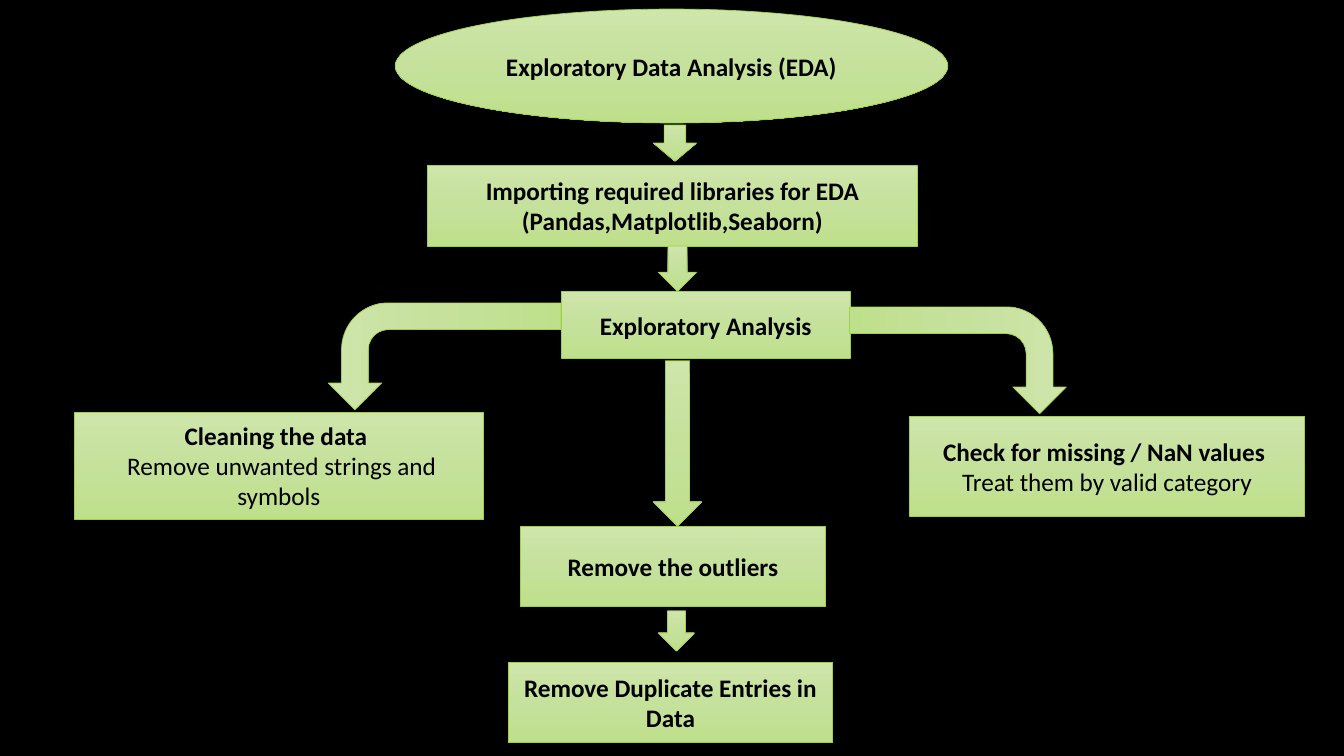
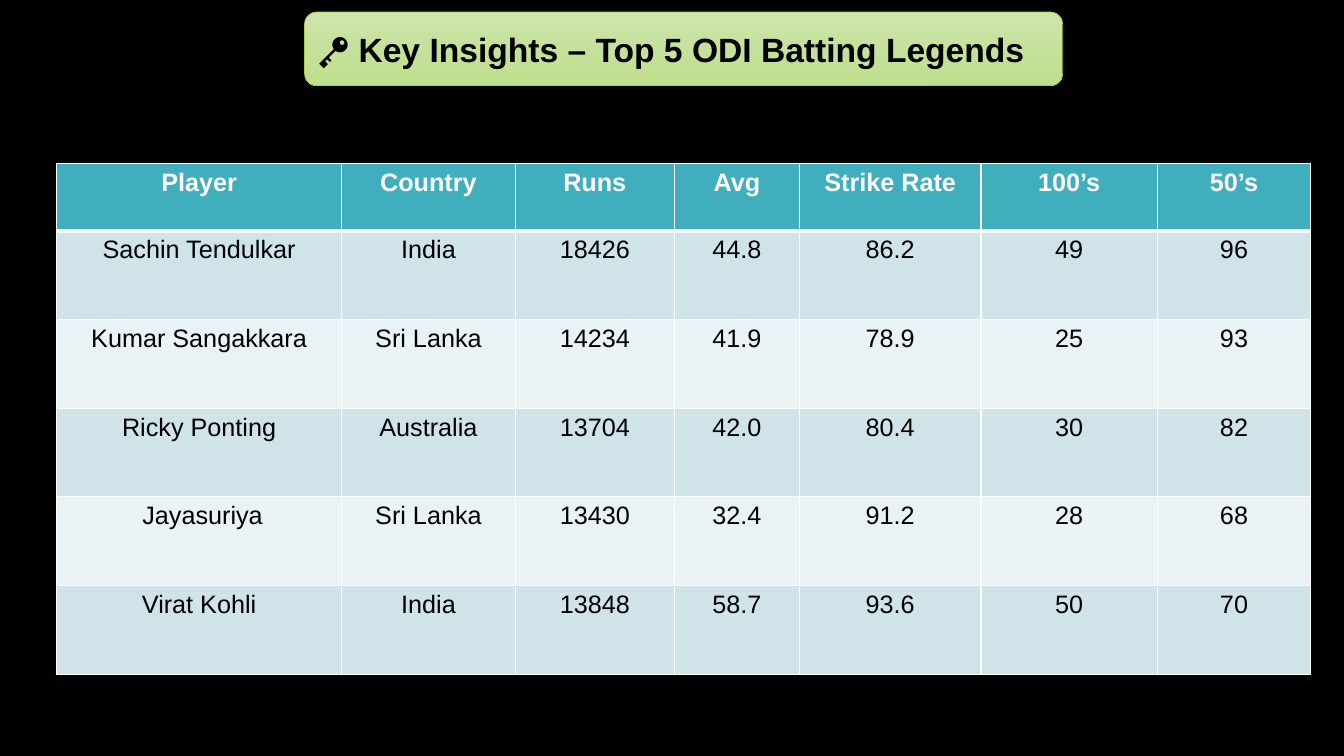
from copy import deepcopy

from lxml import etree
from pptx import Presentation
from pptx import util as u
from pptx.dml import color
from pptx.enum import shapes, text
from pptx.oxml import ns

SHAPE = shapes.MSO_SHAPE
BLACK, WHITE = "000000", "FFFFFF"
GREENS = [(0, "CEE6AA"), (0.5, "C5E19C"), (1, "BEE08A")]
GREEN_LINE = "A2CF49"
HEADER_FILL = "41AEBD"
ROW_FILLS = ["CFE3E8", "E9F2F4"]
BODY = {"name": "Calibri", "size": u.Pt(18), "bold": False, "color": BLACK}
STRONG = BODY | {"bold": True}
TITLE = STRONG | {"name": "Arial", "size": u.Pt(24)}
CELL = BODY | {"name": "Arial"}
HEADER = CELL | {"bold": True, "color": WHITE}

STEPS = [
    (SHAPE.OVAL, (3.92, 0.09, 5.48, 1.13), [("Exploratory Data Analysis (EDA)", STRONG)]),
    (SHAPE.RECTANGLE, (4.24, 1.64, 4.86, 0.8),
     [("Importing required libraries for EDA", STRONG), ("(Pandas,Matplotlib,Seaborn)", STRONG)]),
    (SHAPE.RECTANGLE, (5.57, 2.89, 2.86, 0.67), [("Exploratory Analysis", STRONG)]),
    (SHAPE.RECTANGLE, (9.02, 4.13, 3.92, 0.99),
     [("Check for missing / NaN values ", STRONG), ("Treat them by valid category", BODY)]),
    (SHAPE.RECTANGLE, (0.74, 4.09, 4.05, 1.06),
     [("Cleaning the data ", STRONG), (" Remove unwanted strings and symbols", BODY)]),
    (SHAPE.RECTANGLE, (5.16, 5.22, 3.03, 0.8), [("Remove the outliers", STRONG)]),
    (SHAPE.RECTANGLE, (5.04, 6.57, 3.22, 0.8), [("Remove Duplicate Entries in Data", STRONG)]),
]
DOWN_ARROWS = [
    (6.48, 1.24, 0.43, 0.36),
    (6.53, 2.44, 0.38, 0.45),
    (6.53, 6.06, 0.36, 0.4),
    (6.48, 3.58, 0.48, 1.64),
]
BENT_ARROWS = [((8.97, 2.5, 1.06, 2.15), False), ((3.88, 2.38, 1.06, 2.31), True)]

COLUMN_WIDTHS = [2.83, 1.72, 1.58, 1.24, 1.8, 1.75, 1.52]
ROW_HEIGHTS = [0.67] + [0.88] * 5
RECORDS = [
    ["Player", "Country", "Runs", "Avg", "Strike Rate", "100’s", "50’s"],
    ["Sachin Tendulkar", "India", "18426", "44.8", "86.2", "49", "96"],
    ["Kumar Sangakkara", "Sri Lanka", "14234", "41.9", "78.9", "25", "93"],
    ["Ricky Ponting", "Australia", "13704", "42.0", "80.4", "30", "82"],
    [" Jayasuriya", "Sri Lanka", "13430", "32.4", "91.2", "28", "68"],
    ["Virat Kohli", "India", "13848", "58.7", "93.6", "50", "70"],
]


def rgb(value):
    """Turn a hex string into a colour."""
    return color.RGBColor.from_string(value)


def write(frame, lines, align):
    """Fill a text frame with one paragraph for each (words, format) pair."""
    for index, (words, style) in enumerate(lines):
        para = frame.add_paragraph() if index else frame.paragraphs[0]
        para.alignment = align
        span = para.add_run()
        span.text = words
        for key, value in style.items():
            if key == "color":
                span.font.color.rgb = rgb(value)
            else:
                setattr(span.font, key, value)


def add_green_shape(page, kind, box, lines=(), align=text.PP_ALIGN.CENTER):
    """Add a shape in the deck's green gradient, with optional text."""
    shape = page.shapes.add_shape(kind, *map(u.Inches, box))
    shape.shadow.inherit = False
    shape.fill.gradient()
    shape.fill.gradient_angle = 270
    stop_list = next(shape._element.iter(ns.qn("a:gsLst")))
    stop_list.insert(1, deepcopy(stop_list[0]))
    for stop, (position, value) in zip(shape.fill.gradient_stops, GREENS):
        stop.position = position
        stop.color.rgb = rgb(value)
    shape.line.color.rgb = rgb(GREEN_LINE)
    shape.line.width = u.Pt(0.5)
    frame = shape.text_frame
    frame.word_wrap = True
    frame.vertical_anchor = text.MSO_ANCHOR.MIDDLE
    write(frame, lines, align)
    return shape


def add_bent_arrow(page, box, mirrored):
    """Add an arrow that runs sideways and then turns down."""
    arrow = add_green_shape(page, SHAPE.BENT_ARROW, box)
    arrow.rotation = 90
    if mirrored:
        arrow._element.spPr.xfrm.set("flipV", "1")


def set_borders(cell, widths):
    """Draw white cell borders, with widths in points keyed by side."""
    properties = cell._tc.get_or_add_tcPr()
    for side, width in widths.items():
        line = etree.SubElement(properties, ns.qn(f"a:ln{side}"), w=str(u.Pt(width)))
        fill = etree.SubElement(line, ns.qn("a:solidFill"))
        etree.SubElement(fill, ns.qn("a:srgbClr"), val=WHITE)


def add_records_table(page, left, top):
    """Add the table of batting records at the given corner."""
    box = (left, top, sum(COLUMN_WIDTHS), sum(ROW_HEIGHTS))
    table = page.shapes.add_table(
        len(RECORDS), len(COLUMN_WIDTHS), *map(u.Inches, box)).table
    for column, width in zip(table.columns, COLUMN_WIDTHS):
        column.width = u.Inches(width)
    for index, (row, height, record) in enumerate(zip(table.rows, ROW_HEIGHTS, RECORDS)):
        row.height = u.Inches(height)
        fill = ROW_FILLS[(index - 1) % 2] if index else HEADER_FILL
        widths = {"L": 1, "R": 1, "T": 3 if index == 1 else 1, "B": 1 if index else 3}
        for cell, words in zip(row.cells, record):
            set_borders(cell, widths)
            cell.fill.solid()
            cell.fill.fore_color.rgb = rgb(fill)
            write(cell.text_frame, [(words, CELL if index else HEADER)], text.PP_ALIGN.CENTER)


def add_page(deck):
    """Add a blank black slide."""
    page = deck.slides.add_slide(deck.slide_layouts[6])
    page.background.fill.solid()
    page.background.fill.fore_color.rgb = rgb(BLACK)
    return page


def add_flow_page(deck):
    """Add the slide with the analysis flowchart."""
    page = add_page(deck)
    for kind, box, lines in STEPS:
        add_green_shape(page, kind, box, lines)
    for box in DOWN_ARROWS:
        add_green_shape(page, SHAPE.DOWN_ARROW, box)
    for box, mirrored in BENT_ARROWS:
        add_bent_arrow(page, box, mirrored)


def add_insights_page(deck):
    """Add the slide with the titled table."""
    page = add_page(deck)
    add_records_table(page, 0.56, 1.62)
    add_green_shape(page, SHAPE.ROUNDED_RECTANGLE, (3.02, 0.12, 7.52, 0.73),
                    [("🔑 Key Insights – Top 5 ODI Batting Legends", TITLE)],
                    text.PP_ALIGN.LEFT)


def main():
    """Build and save the deck."""
    deck = Presentation()
    deck.slide_width, deck.slide_height = u.Inches(13.33), u.Inches(7.5)
    add_flow_page(deck)
    add_insights_page(deck)
    deck.save("out.pptx")


if __name__ == "__main__":
    main()
